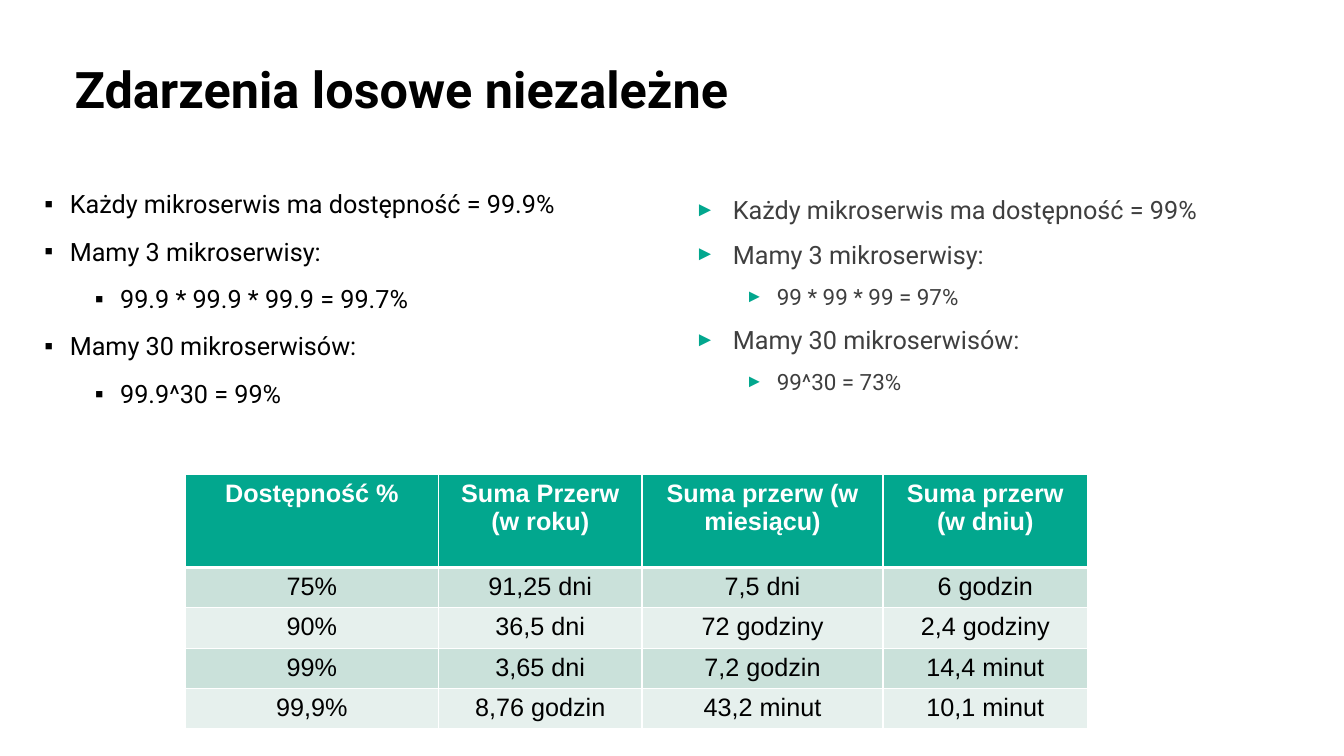
from dataclasses import dataclass

from lxml import etree
from pptx import Presentation, util as u
from pptx.dml.color import RGBColor
from pptx.enum import text
from pptx.oxml import ns


@dataclass(frozen=True)
class Theme:
    head: str = "Roboto"
    body: str = "Roboto"
    grid: str = "Arial"
    black: str = "000000"
    grey: str = "3F3F3F"
    white: str = "FFFFFF"
    green: str = "02A78E"
    bands: tuple = ("CAE1DA", "E6F0ED")
    title: int = 36
    size: int = 18
    small: int = 16


@dataclass(frozen=True)
class Bullet:
    char: str
    color: str
    scale: int  # percent of the text size
    indents: tuple  # (left, hanging) in cm for each level


def sub(node, tag, **attrs):
    return etree.SubElement(node, ns.qn(tag), attrs)


class Deck:
    def __init__(self, theme):
        self.theme = theme
        self.prs = Presentation()
        self.prs.slide_width, self.prs.slide_height = u.Cm(33.87), u.Cm(19.05)
        self.slide = self.prs.slides.add_slide(self.prs.slide_layouts[6])

    def run(self, par, words, font, size, color, bold=False):
        run = par.add_run()
        run.text = words
        run.font.name, run.font.size, run.font.bold = font, u.Pt(size), bold
        run.font.color.rgb = RGBColor.from_string(color)

    def box(self, left, top, width, height, pad=0.0):
        frame = self.slide.shapes.add_textbox(
            *map(u.Cm, (left, top, width, height))).text_frame
        frame.word_wrap = True
        frame.margin_left = frame.margin_right = u.Cm(pad)
        return frame

    def title(self, words, *area):
        frame = self.box(*area)
        frame.vertical_anchor = text.MSO_ANCHOR.BOTTOM
        self.run(frame.paragraphs[0], words, self.theme.head,
                 self.theme.title, self.theme.black, True)

    def bullet(self, par, style):
        left, hang = style.indents[par.level]
        props = par._p.get_or_add_pPr()
        props.set("marL", str(u.Cm(left)))
        props.set("indent", str(-u.Cm(hang)))
        sub(sub(props, "a:buClr"), "a:srgbClr", val=style.color)
        sub(props, "a:buSzPct", val=str(style.scale * 1000))
        sub(props, "a:buFont", typeface=self.theme.grid)
        sub(props, "a:buChar", char=style.char)

    def bullets(self, items, area, style, color, sizes, gap, line=1.0, pad=0.0):
        frame = self.box(*area, pad)
        for num, (level, words) in enumerate(items):
            par = frame.add_paragraph() if num else frame.paragraphs[0]
            par.level, par.line_spacing = level, line
            par.space_before = u.Pt(gap if num else 0)
            self.bullet(par, style)
            self.run(par, words, self.theme.body, sizes[level], color)

    def border(self, cell, row):
        # The rule under the header is thicker than the rest
        top, low = 3 if row == 1 else 1, 3 if row == 0 else 1
        props = cell._tc.get_or_add_tcPr()
        for side, width in zip("LRTB", (1, 1, top, low)):
            line = sub(props, f"a:ln{side}", w=str(u.Pt(width)))
            sub(sub(line, "a:solidFill"), "a:srgbClr", val=self.theme.white)

    def table(self, rows, left, top, widths, heights):
        look = self.theme
        grid = self.slide.shapes.add_table(
            len(rows), len(widths), u.Cm(left), u.Cm(top),
            u.Cm(sum(widths)), u.Cm(sum(heights))).table
        for col, width in zip(grid.columns, widths):
            col.width = u.Cm(width)
        for row, (height, values) in enumerate(zip(heights, rows)):
            grid.rows[row].height = u.Cm(height)
            head = row == 0
            fill = look.green if head else look.bands[(row - 1) % 2]
            for col, words in enumerate(values):
                cell = grid.cell(row, col)
                self.border(cell, row)
                cell.fill.solid()
                cell.fill.fore_color.rgb = RGBColor.from_string(fill)
                par = cell.text_frame.paragraphs[0]
                par.alignment = text.PP_ALIGN.CENTER
                self.run(par, words, look.grid, look.size,
                         look.white if head else look.black, head)


def main():
    look = Theme()
    deck = Deck(look)

    # Title
    deck.title("Zdarzenia losowe niezależne", 1.88, 0, 30.07, 3.12)

    # Left list: 99.9% availability
    deck.bullets(
        [(0, "Każdy mikroserwis ma dostępność = 99.9%"),
         (0, "Mamy 3 mikroserwisy:"),
         (1, "99.9 * 99.9 * 99.9 = 99.7%"),
         (0, "Mamy 30 mikroserwisów:"),
         (1, "99.9^30 = 99%")],
        (1.12, 4.47, 13.51, 10.77),
        Bullet("▪", look.black, 100, ((0.64, 0.64), (1.91, 0.64))),
        look.black, (look.size, look.size), gap=8, line=1.2)

    # Right list: 99% availability
    deck.bullets(
        [(0, "Każdy mikroserwis ma dostępność = 99%"),
         (0, "Mamy 3 mikroserwisy:"),
         (1, "99 * 99 * 99 = 97%"),
         (0, "Mamy 30 mikroserwisów:"),
         (1, "99^30 = 73%")],
        (17.27, 4.78, 13.51, 10.77),
        Bullet("►", look.green, 80, ((0.95, 0.95), (2.06, 0.79))),
        look.grey, (look.size, look.small), gap=10, pad=0.25)

    # Downtime table
    deck.table(
        [("Dostępność %", "Suma Przerw (w roku)",
          "Suma przerw (w miesiącu)", "Suma przerw (w dniu)"),
         ("75%", "91,25 dni", "7,5 dni", "6 godzin"),
         ("90%", "36,5 dni", "72 godziny", "2,4 godziny"),
         ("99%", "3,65 dni", "7,2 godzin", "14,4 minut"),
         ("99,9%", "8,76 godzin", "43,2 minut", "10,1 minut")],
        4.67, 11.96, (6.38, 5.13, 6.07, 5.16), [2.34] + [0.94] * 4)

    deck.prs.save("out.pptx")


if __name__ == "__main__":
    main()
